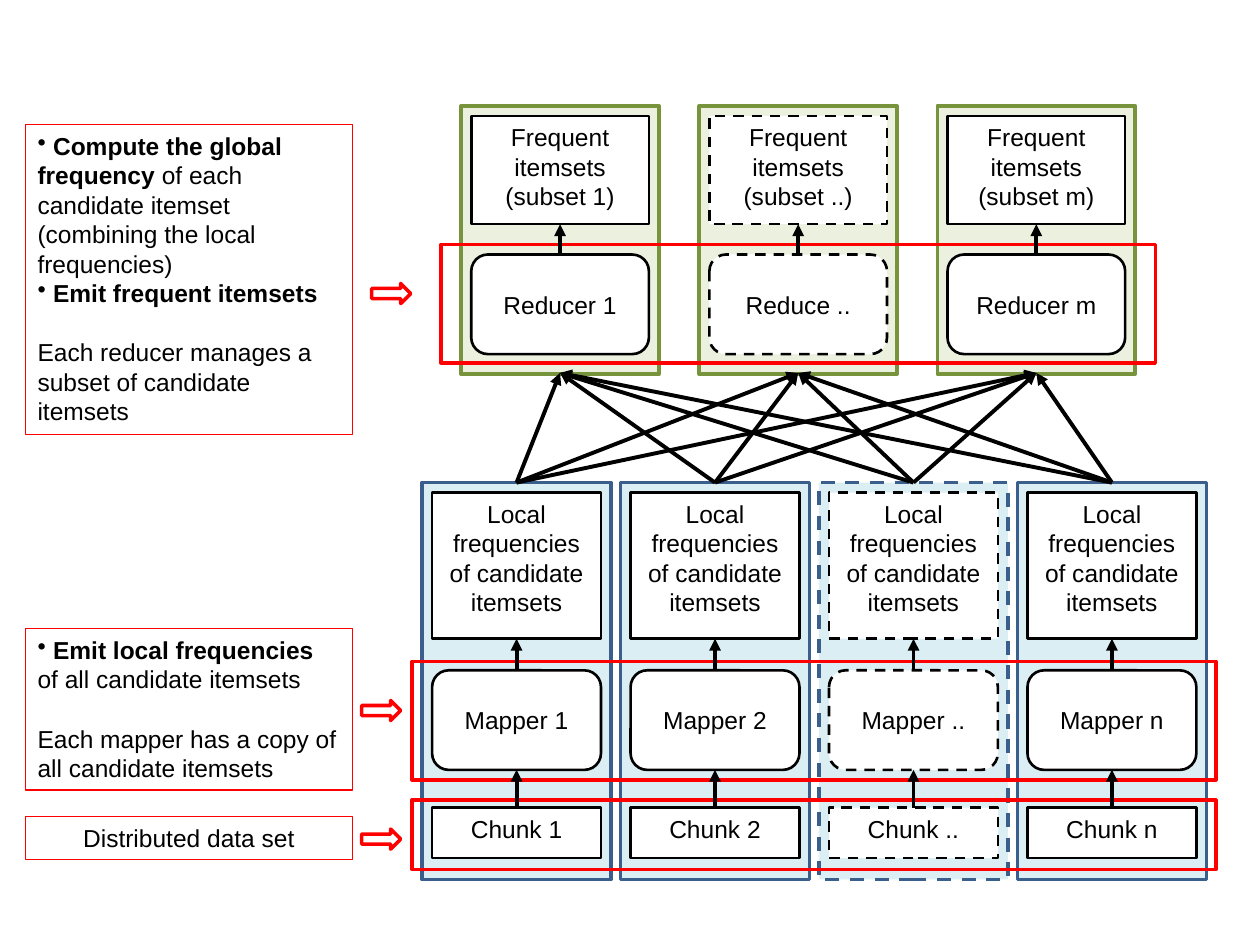
import itertools
import pptx
import pptx.util
import pptx.dml.color
import pptx.enum.dml
import pptx.enum.shapes
import pptx.enum.text
import pptx.oxml.ns
import lxml.etree

RGB = pptx.dml.color.RGBColor
BLACK = RGB(0x00, 0x00, 0x00)
WHITE = RGB(0xFF, 0xFF, 0xFF)
RED = RGB(0xFF, 0x00, 0x00)
GREEN = RGB(0x77, 0x93, 0x3C)
PALE_GREEN = RGB(0xEB, 0xF1, 0xDE)
BLUE = RGB(0x3A, 0x5F, 0x8C)
PALE_BLUE = RGB(0xDB, 0xEE, 0xF4)

SHAPE = pptx.enum.shapes.MSO_SHAPE
ALIGN = pptx.enum.text.PP_ALIGN
ANCHOR = pptx.enum.text.MSO_ANCHOR
DASH = pptx.enum.dml.MSO_LINE.DASH
Inches = pptx.util.Inches
Pt = pptx.util.Pt
qn = pptx.oxml.ns.qn

MAP_LEFT, MAP_PITCH, MAP_W = 3.35, 1.575, 1.5
RED_LEFT, RED_PITCH, RED_W = 3.66, 1.89, 1.57
PAD = 0.08
MAP_TOP, RED_BOTTOM = 3.83, 2.96


def add_box(s, kind, left, top, width, height, fill, line, weight, dashed=False):
    sp = s.shapes.add_shape(kind, Inches(left), Inches(top), Inches(width), Inches(height))
    sp.shadow.inherit = False
    if fill is None:
        sp.fill.background()
    else:
        sp.fill.solid()
        sp.fill.fore_color.rgb = fill
    sp.line.color.rgb = line
    sp.line.width = Pt(weight)
    if dashed:
        sp.line.dash_style = DASH
    return sp


def style_paragraph(p, align):
    p.alignment = align
    p.font.size = Pt(14)
    p.font.name = "Arial"
    p.font.color.rgb = BLACK


def add_label(s, kind, left, top, width, height, text, dashed):
    sp = add_box(s, kind, left, top, width, height, WHITE, BLACK, 1.5, dashed)
    tf = sp.text_frame
    tf.word_wrap = True
    tf.vertical_anchor = ANCHOR.MIDDLE if kind == SHAPE.ROUNDED_RECTANGLE else ANCHOR.TOP
    p = tf.paragraphs[0]
    p.text = text
    style_paragraph(p, ALIGN.CENTER)


def add_arrow(s, x1, y1, x2, y2):
    line = s.shapes.add_connector(pptx.enum.shapes.MSO_CONNECTOR.STRAIGHT,
                                  Inches(x1), Inches(y1), Inches(x2), Inches(y2))
    line.line.color.rgb = BLACK
    line.line.width = Pt(2.25)
    lxml.etree.SubElement(line.line._get_or_add_ln(), qn("a:tailEnd"), type="triangle")
    lxml.etree.SubElement(line._element.spPr, qn("a:effectLst"))


def add_note(s, top, height, paragraphs, align=ALIGN.LEFT):
    sp = add_box(s, SHAPE.RECTANGLE, 0.2, top, 2.6, height, None, RED, 0.75)
    tf = sp.text_frame
    tf.word_wrap = True
    tf.vertical_anchor = ANCHOR.TOP
    for i, (bullet, gap, runs) in enumerate(paragraphs):
        p = tf.add_paragraph() if i else tf.paragraphs[0]
        style_paragraph(p, align)
        p.space_before = Pt(gap)
        for text, bold in runs:
            r = p.add_run()
            r.text = text
            r.font.bold = bold
        if bullet:
            lxml.etree.SubElement(p._p.get_or_add_pPr(), qn("a:buChar"), char="\u2022")
            p._p.pPr.remove(p._p.pPr.find(qn("a:buChar")))
            mark = lxml.etree.Element(qn("a:buChar"), char="\u2022")
            p._p.pPr.find(qn("a:defRPr")).addprevious(mark)


def add_reducer(s, column, name, subset, dashed):
    left = RED_LEFT + column * RED_PITCH
    inner, width = left + PAD, RED_W - 2 * PAD
    add_box(s, SHAPE.RECTANGLE, left, 0.84, RED_W, 2.13, PALE_GREEN, GREEN, 2)
    add_label(s, SHAPE.RECTANGLE, inner, 0.92, width, 0.86,
              f"Frequent itemsets (subset {subset})", dashed)
    add_label(s, SHAPE.ROUNDED_RECTANGLE, inner, 2.02, width, 0.79, name, dashed)


def add_mapper(s, column, suffix, dashed):
    left = MAP_LEFT + column * MAP_PITCH
    inner, width = left + PAD, MAP_W - 2 * PAD
    add_box(s, SHAPE.RECTANGLE, left, MAP_TOP, MAP_W, 3.15, PALE_BLUE, BLUE, 2, dashed)
    add_label(s, SHAPE.RECTANGLE, inner, 3.91, width, 1.16,
              "Local frequencies of candidate itemsets", dashed)
    add_label(s, SHAPE.ROUNDED_RECTANGLE, inner, 5.32, width, 0.79, f"Mapper {suffix}", dashed)
    add_label(s, SHAPE.RECTANGLE, inner, 6.41, width, 0.4, f"Chunk {suffix}", dashed)


def add_flow(s):
    reducers = [RED_LEFT + RED_W / 2 + i * RED_PITCH for i in range(3)]
    mappers = [MAP_LEFT + MAP_W / 2 + i * MAP_PITCH for i in range(4)]
    for x in mappers:
        add_arrow(s, x, 6.41, x, 6.11)
        add_arrow(s, x, 5.32, x, 5.07)
    for x in reducers:
        add_arrow(s, x, 2.02, x, 1.78)
    for x1, x2 in itertools.product(mappers, reducers):
        add_arrow(s, x1, MAP_TOP, x2, RED_BOTTOM)


def main():
    prs = pptx.Presentation()
    prs.slide_width, prs.slide_height = Inches(10), Inches(7.5)
    s = prs.slides.add_slide(prs.slide_layouts[6])

    reducers = [("Reducer 1", "1"), ("Reduce ..", ".."), ("Reducer m", "m")]
    for i, (name, subset) in enumerate(reducers):
        add_reducer(s, i, name, subset, subset == "..")
    for i, suffix in enumerate(["1", "2", "..", "n"]):
        add_mapper(s, i, suffix, suffix == "..")

    stages = [(3.5, 1.94, 5.67, 0.94, 2.95, 2.25),
              (3.27, 5.25, 6.38, 0.94, 2.87, 5.56),
              (3.27, 6.35, 6.38, 0.55, 2.87, 6.58)]
    for left, top, width, height, arrow_left, arrow_top in stages:
        add_box(s, SHAPE.RECTANGLE, left, top, width, height, None, RED, 2)
        add_box(s, SHAPE.RIGHT_ARROW, arrow_left, arrow_top, 0.31, 0.16, WHITE, RED, 2)
    add_flow(s)

    add_note(s, 0.99, 2.46, [
        (True, 0, [(" Compute the global frequency ", True),
                   ("of each candidate itemset (combining the local frequencies)", False)]),
        (True, 0, [(" Emit frequent itemsets", True)]),
        (False, 17, [("Each reducer manages a subset of candidate itemsets", False)])])
    add_note(s, 4.99, 1.28, [
        (True, 0, [(" Emit local frequencies", True), (" of all candidate itemsets", False)]),
        (False, 17, [("Each mapper has a copy of all candidate itemsets", False)])])
    add_note(s, 6.48, 0.34, [(False, 0, [("Distributed data set", False)])], ALIGN.CENTER)
    prs.save("out.pptx")


main()
